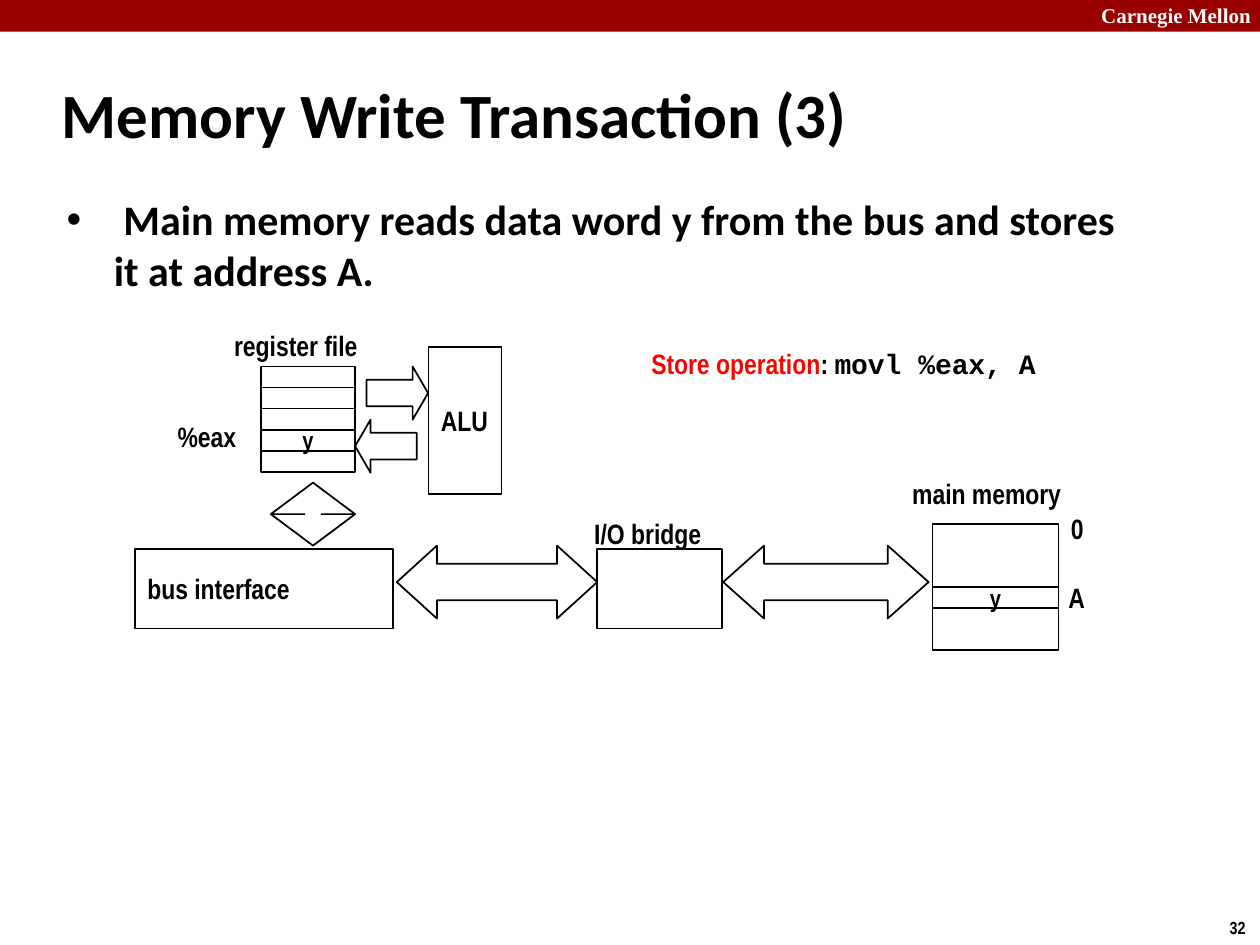
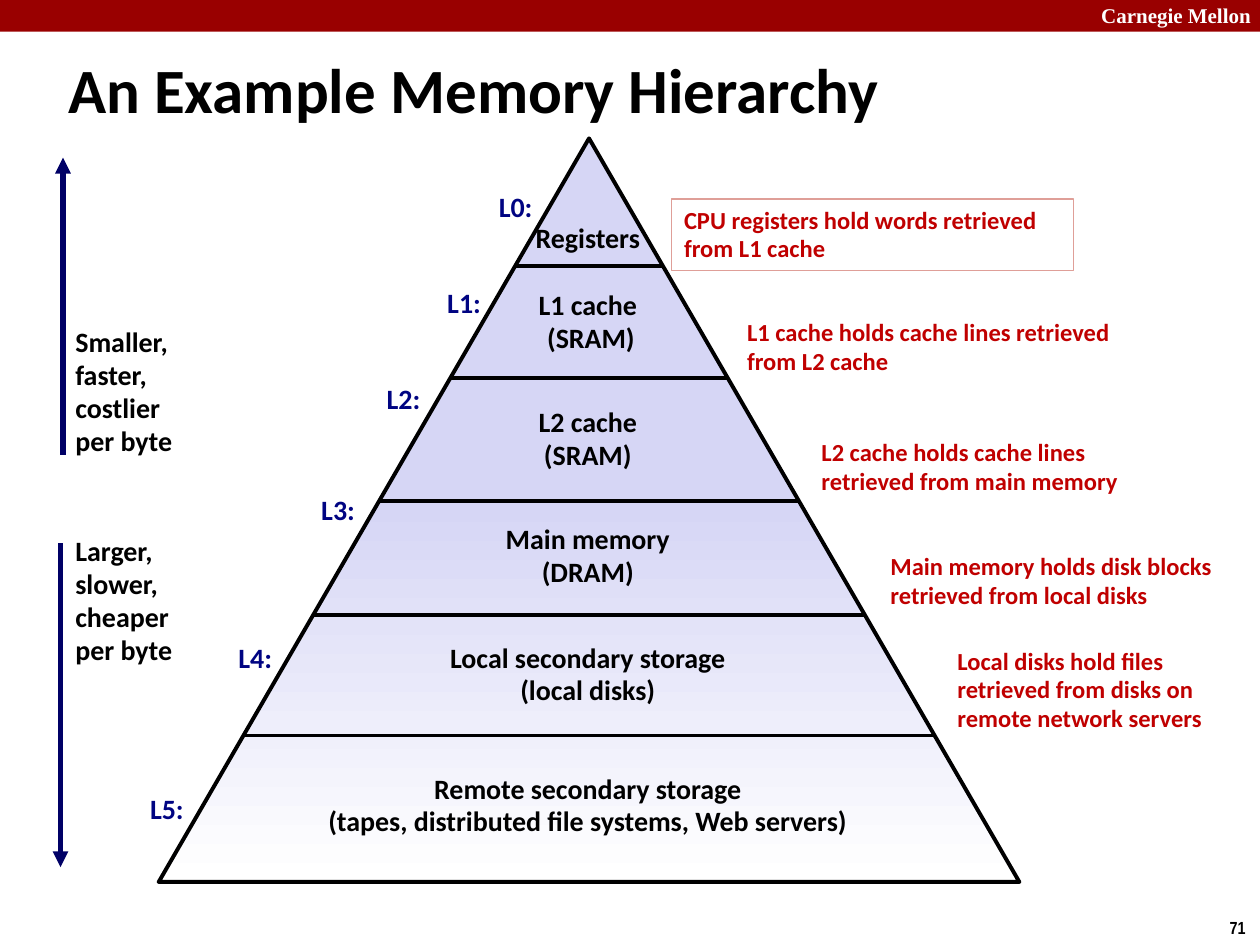
"""Builds two slides: a memory write transaction and a memory hierarchy."""
from dataclasses import dataclass
from typing import NamedTuple, Optional

from lxml.etree import SubElement
from pptx import Presentation
from pptx.dml.color import RGBColor
from pptx.enum.shapes import MSO_CONNECTOR, MSO_SHAPE as Preset
from pptx.enum.text import MSO_ANCHOR as Anchor, MSO_AUTO_SIZE, PP_ALIGN as Align
from pptx.oxml.ns import qn
from pptx.util import Cm, Pt

COLORS = {
    "band": "990000",
    "white": "FFFFFF",
    "black": "000000",
    "red": "FF0000",
    "note": "C00000",
    "note_frame": "DF9F98",
    "tag": "000482",
    "arrow": "000066",
    "pyramid": "D6D6F5",
}
BODY_FONT, LABEL_FONT = "Calibri", "Arial Narrow"
CODE_FONT, BAND_FONT = "Courier New", "Times New Roman"
LINE_HEIGHT = 0.94
TWO_LINES = 1.6


class Place(NamedTuple):
    left: float
    top: float
    width: float
    height: float

    def lengths(self) -> list:
        return [Cm(value) for value in self]


@dataclass(frozen=True)
class Style:
    size: float = 16
    font: str = LABEL_FONT
    color: str = "black"
    align: Align = Align.LEFT
    anchor: Anchor = Anchor.MIDDLE
    wrap: bool = False
    spacing: Optional[float] = None


@dataclass(frozen=True)
class Block:
    preset: Preset
    place: Place
    adjustments: tuple = ()
    text: str = ""
    style: Style = Style()


@dataclass(frozen=True)
class Level:
    text: str
    top: float
    width: float
    height: float
    tag_left: float
    tag_top: float
    floor: Optional[float] = None
    note: str = ""
    note_place: Optional[Place] = None


LABEL = Style()
CELL = Style(size=14, align=Align.CENTER)
BAND = Style(12, BAND_FONT, "white", anchor=Anchor.TOP, wrap=True)
NUMBER = Style(10, anchor=Anchor.TOP)
TITLE = Style(36, BODY_FONT, wrap=True)
BODY = Style(24, BODY_FONT, anchor=Anchor.TOP, wrap=True)
LEVEL = Style(16, BODY_FONT, align=Align.CENTER, spacing=0.98)
TAG = Style(16, BODY_FONT, "tag", Align.CENTER, spacing=0.98)
NOTE = Style(14, BODY_FONT, "note", wrap=True, spacing=0.98)
SIDE = Style(16, BODY_FONT, spacing=0.98)

REGISTERS = Place(5.26, 7.39, 1.9, 2.12)
REGISTER_VALUES = ["", "", "", "y", ""]
BLOCKS = [
    Block(Preset.RECTANGLE, Place(18.8, 10.57, 2.54, 2.54)),
    Block(Preset.LEFT_RIGHT_ARROW, Place(14.58, 11, 4.14, 1.47), (0.5, 0.56)),
    Block(Preset.RECTANGLE, Place(12.04, 11.07, 2.51, 1.6)),
    Block(Preset.LEFT_RIGHT_ARROW, Place(8, 11, 4.04, 1.47), (0.5, 0.55)),
    Block(Preset.RIGHT_ARROW, Place(7.39, 7.39, 1.24, 1.07), (0.5, 0.29)),
    Block(Preset.LEFT_ARROW, Place(7.16, 8.46, 1.24, 1.07), (0.5, 0.29)),
    Block(Preset.RECTANGLE, Place(8.64, 6.99, 1.47, 2.97), text="ALU"),
    Block(Preset.UP_DOWN_ARROW, Place(5.46, 9.73, 1.7, 1.27), (0.5, 0.2)),
    Block(Preset.RECTANGLE, Place(2.72, 11.07, 5.21, 1.6), text="bus interface"),
    Block(Preset.RECTANGLE, Place(18.8, 11.84, 2.54, 0.42), text="y", style=CELL),
]
LABELS = [
    ("register file", 4.47, 6.5, 3.56),
    ("main memory", 18.14, 9.47, 4.19),
    ("0", 21.34, 10.19, 0.81),
    ("A", 21.29, 11.58, 0.91),
    ("%eax", 3.33, 8.33, 1.93),
    ("I/O bridge", 11.73, 10.29, 3.15),
]

PYRAMID = Place(3.2, 2.79, 17.35, 14.99)
LEVEL_CENTER = 11.85
LEVELS = [
    Level("Registers", 4.34, 2.64, LINE_HEIGHT, 9.8, 3.71, 5.36,
          "CPU registers hold words retrieved from L1 cache",
          Place(13.54, 4.01, 8.1, 1.45)),
    Level("L1 cache\n (SRAM)", 5.69, 2.51, TWO_LINES, 8.76, 5.66, 7.62,
          "L1 cache holds cache lines retrieved from L2 cache",
          Place(14.81, 6.27, 7.87, 1.45)),
    Level("L2 cache\n(SRAM)", 8.05, 2.54, TWO_LINES, 7.54, 7.59, 10.1,
          "L2 cache holds cache lines retrieved from main memory",
          Place(16.31, 8.69, 7.32, 1.45)),
    Level("Main memory\n(DRAM)", 10.41, 3.81, TWO_LINES, 6.22, 9.83, 12.4,
          "Main memory holds disk blocks retrieved from local disks",
          Place(17.7, 11, 7.62, 1.45)),
    Level("Local secondary storage\n(local disks)", 12.8, 6.12, TWO_LINES, 4.55, 12.8, 14.83,
          "Local disks hold files retrieved from disks on remote network servers",
          Place(19.05, 12.9, 5.74, 2.03)),
    Level("Remote secondary storage\n(tapes, distributed file systems, Web servers)",
          15.44, 11.1, TWO_LINES, 2.77, 15.85),
]
SIDES = [
    ("Smaller,\nfaster,\ncostlier\nper byte", 6.43, 1.27, 9.17, 3.18),
    ("Larger,\nslower,\ncheaper\nper byte", 10.64, 1.22, 10.95, 17.48),
]


def rgb(name: str) -> RGBColor:
    return RGBColor.from_string(COLORS[name])


def write(shape, text: str, style: Style) -> None:
    frame = shape.text_frame
    frame.auto_size = MSO_AUTO_SIZE.NONE
    frame.word_wrap = style.wrap
    frame.vertical_anchor = style.anchor
    frame.text = text
    for para in frame.paragraphs:
        para.alignment = style.align
        if style.spacing:
            para.line_spacing = style.spacing
        para.font.name = style.font
        para.font.size = Pt(style.size)
        para.font.bold = True
        para.font.color.rgb = rgb(style.color)


def add_label(page, text: str, place: Place, style: Style):
    box = page.shapes.add_textbox(*place.lengths())
    write(box, text, style)
    return box


def add_block(page, block: Block, line: Optional[str] = "black", width: float = 1):
    shape = page.shapes.add_shape(block.preset, *block.place.lengths())
    shape.shadow.inherit = False
    shape.fill.background()
    if line:
        shape.line.color.rgb = rgb(line)
        shape.line.width = Pt(width)
    else:
        shape.line.fill.background()
    for index, value in enumerate(block.adjustments):
        shape.adjustments[index] = value
    if block.text:
        write(shape, block.text, block.style)
    return shape


def add_line(page, start: tuple, end: tuple, color: str, width: float, arrow: bool = False) -> None:
    ends = [Cm(value) for value in (*start, *end)]
    line = page.shapes.add_connector(MSO_CONNECTOR.STRAIGHT, *ends)
    line.line.color.rgb = rgb(color)
    line.line.width = Pt(width)
    if arrow:
        SubElement(line.line._get_or_add_ln(), qn("a:tailEnd"), type="triangle")
    SubElement(line._element.spPr, qn("a:effectLst"))


def place_placeholder(shape, place: Place) -> None:
    shape.left, shape.top, shape.width, shape.height = place.lengths()


def add_page(deck, layout: int, title: str, title_place: Place, number: int):
    page = deck.slides.add_slide(deck.slide_layouts[layout])
    band = add_block(page, Block(Preset.RECTANGLE, Place(0, 0, 25.4, 0.64)), line=None)
    band.fill.solid()
    band.fill.fore_color.rgb = rgb("band")
    add_label(page, "Carnegie Mellon", Place(21.95, -0.08, 3.63, 0.76), BAND)
    add_label(page, str(number), Place(24.54, 18.36, 0.86, 0.69), NUMBER)
    place_placeholder(page.shapes.title, title_place)
    write(page.shapes.title, title, TITLE)
    return page


def add_bullet(para) -> None:
    props = para._p.get_or_add_pPr()
    props.set("marL", str(Cm(0.95)))
    props.set("indent", str(-Cm(0.95)))
    color = SubElement(props, qn("a:buClr"))
    SubElement(color, qn("a:srgbClr"), val=COLORS["band"])
    SubElement(props, qn("a:buSzPct"), val="60000")
    SubElement(props, qn("a:buFont"), typeface=LABEL_FONT)
    SubElement(props, qn("a:buChar"), char="■")


def fill_body(body, text: str) -> None:
    place_placeholder(body, Place(1.09, 3.78, 21.95, 13.82))
    para = body.text_frame.paragraphs[0]
    para.space_before = Pt(0)
    add_bullet(para)
    write(body, text, BODY)


def add_store_operation(page) -> None:
    box = add_label(page, "", Place(12.88, 6.86, 8.38, 1.63), Style(anchor=Anchor.TOP))
    para = box.text_frame.paragraphs[0]
    for text, font, color in (
        ("Store operation", LABEL_FONT, "red"),
        (": ", LABEL_FONT, "black"),
        ("movl %eax, A", CODE_FONT, "black"),
    ):
        span = para.add_run()
        span.text = text
        span.font.name = font
        span.font.color.rgb = rgb(color)


def build_write_transaction(deck) -> None:
    page = add_page(deck, 1, "Memory Write Transaction (3)", Place(0.99, 1.22, 21.08, 2.11), 32)
    fill_body(page.placeholders[1],
              " Main memory reads data word y from the bus and stores it at address A.")
    for block in BLOCKS:
        add_block(page, block)
    height = REGISTERS.height / len(REGISTER_VALUES)
    for row, value in enumerate(REGISTER_VALUES):
        place = REGISTERS._replace(top=REGISTERS.top + row * height, height=height)
        add_block(page, Block(Preset.RECTANGLE, place, text=value, style=CELL))
    for text, left, top, width in LABELS:
        add_label(page, text, Place(left, top, width, LINE_HEIGHT), LABEL)
    add_store_operation(page)


def add_pyramid(page) -> None:
    pyramid = add_block(page, Block(Preset.ISOSCELES_TRIANGLE, PYRAMID), width=2.25)
    pyramid.fill.gradient()
    pyramid.fill.gradient_angle = 270
    stops = pyramid.fill.gradient_stops
    for stop, position, color in zip(stops, (0.49, 1), ("pyramid", "white")):
        stop.position = position
        stop.color.rgb = rgb(color)


def add_floor(page, floor: float) -> None:
    half = PYRAMID.width / 2 * (floor - PYRAMID.top) / PYRAMID.height
    middle = PYRAMID.left + PYRAMID.width / 2
    add_line(page, (middle - half, floor), (middle + half, floor), "black", 2)


def build_hierarchy(deck) -> None:
    page = add_page(deck, 5, "An Example Memory Hierarchy", Place(1.12, 0.69, 24.21, 2.18), 71)
    add_pyramid(page)
    for number, level in enumerate(LEVELS):
        left = LEVEL_CENTER - level.width / 2
        add_label(page, level.text, Place(left, level.top, level.width, level.height), LEVEL)
        add_label(page, f"L{number}:", Place(level.tag_left, level.tag_top, 1.19, LINE_HEIGHT), TAG)
        if level.floor:
            add_floor(page, level.floor)
        if level.note_place:
            note = Block(Preset.RECTANGLE, level.note_place, text=level.note, style=NOTE)
            add_block(page, note, line=None if number else "note_frame", width=0.75)
    for text, top, arrow_left, arrow_start, arrow_end in SIDES:
        add_label(page, text, Place(1.27, top, 2.54, 2.95), SIDE)
        add_line(page, (arrow_left, arrow_start), (arrow_left, arrow_end), "arrow", 3, arrow=True)


def main() -> None:
    deck = Presentation()
    deck.slide_width, deck.slide_height = Cm(25.4), Cm(19.05)
    build_write_transaction(deck)
    build_hierarchy(deck)
    deck.save("out.pptx")


if __name__ == "__main__":
    main()
